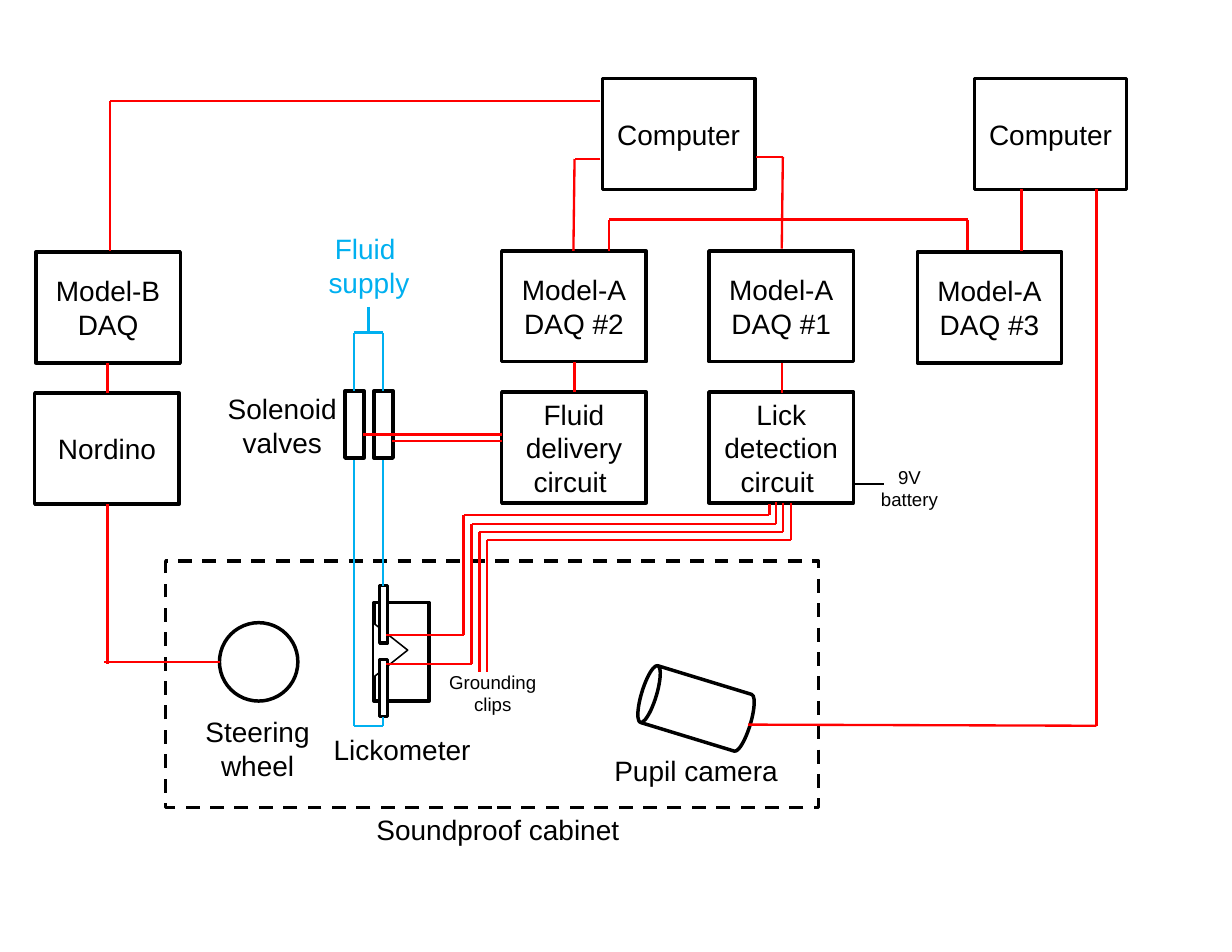
from itertools import pairwise
from lxml import etree
from pptx import Presentation
from pptx.dml.color import RGBColor
from pptx.enum.dml import MSO_LINE as Dash
from pptx.enum.shapes import MSO_CONNECTOR as Link, MSO_SHAPE as Kind
from pptx.enum.text import MSO_ANCHOR as Anchor, MSO_AUTO_SIZE as Auto, PP_ALIGN as Align
from pptx.oxml.ns import qn
from pptx.util import Cm, Pt

INCH = 2.54
BLACK, WHITE, RED, BLUE = "000000", "FFFFFF", "FF0000", "00B0F0"


def paint(form, color):
    """Set a fill, line or font format to a solid hex colour."""
    if hasattr(form, "solid"):
        form.solid()
        form.fore_color.rgb = RGBColor.from_string(color)
    else:
        form.color.rgb = RGBColor.from_string(color)


def write(frame, text, size=18, color=BLACK):
    """Fill a text frame with centred Arial lines."""
    frame.text = text
    for para in frame.paragraphs:
        para.alignment = Align.CENTER
        for run in para.runs:
            run.font.name = "Arial"
            run.font.size = Pt(size)
            paint(run.font, color)


deck = Presentation()
deck.slide_width, deck.slide_height = Cm(11 * INCH), Cm(8.5 * INCH)
slide = deck.slides.add_slide(deck.slide_layouts[6])
shapes = slide.shapes

# Outlined parts: kind, left, top, width, height, turn, line width, text
parts = [
    (Kind.RECTANGLE, 3.34, 5.38, 0.49, 0.88, 0, 2.25, ""),
    (Kind.ISOSCELES_TRIANGLE, 3.24, 5.65, 0.49, 0.31, 90, 1, ""),
    (Kind.OVAL, 1.96, 5.56, 0.7, 0.7, 0, 2.25, ""),
    (Kind.RECTANGLE, 1.48, 5.01, 5.83, 2.2, 0, 2.25, ""),
    (Kind.CAN, 5.95, 5.82, 0.53, 1.01, 287, 2.25, ""),
]
for top in (5.23, 5.89):
    parts.append((Kind.RECTANGLE, 3.39, top, 0.07, 0.51, 0, 2.25, ""))
for left in (3.08, 3.34):
    parts.append((Kind.RECTANGLE, left, 3.49, 0.17, 0.6, 0, 2.25, ""))
for left in (5.38, 8.7):
    parts.append((Kind.RECTANGLE, left, 0.7, 1.36, 0.99, 0, 2.25, "Computer"))
for left, top, text in [
    (0.32, 2.25, "Model-B\nDAQ"),
    (4.48, 2.24, "Model-A\nDAQ #2"),
    (6.33, 2.24, "Model-A\nDAQ #1"),
    (8.19, 2.25, "Model-A\nDAQ #3"),
    (0.31, 3.51, "Nordino"),
    (4.48, 3.5, "Fluid delivery circuit "),
    (6.33, 3.5, "Lick\ndetection circuit "),
]:
    parts.append((Kind.RECTANGLE, left, top, 1.29, 0.99, 0, 2.25, text))

for kind, left, top, width, height, turn, weight, text in parts:
    part = shapes.add_shape(kind, *(Cm(n * INCH) for n in (left, top, width, height)))
    part.shadow.inherit = False
    part.rotation = turn
    paint(part.line, BLACK)
    part.line.width = Pt(weight)
    if kind == Kind.CAN:
        part.fill.background()
    elif width > 5:  # the cabinet around the rig
        part.fill.background()
        part.line.dash_style = Dash.DASH
    else:
        paint(part.fill, WHITE)
    if text:
        part.text_frame.vertical_anchor = Anchor.MIDDLE
        write(part.text_frame, text)

# Labels: left, top, width, height, text, size, colour
labels = [
    (2.83, 2.02, 0.93, 0.71, "Fluid \nsupply", 18, BLUE),
    (1.93, 3.45, 1.18, 0.71, "Solenoid\nvalves", 18, BLACK),
    (1.73, 6.33, 1.14, 0.71, "Steering\nwheel", 18, BLACK),
    (2.87, 6.49, 1.44, 0.4, "Lickometer", 18, BLACK),
    (5.38, 6.68, 1.67, 0.4, "Pupil camera", 18, BLACK),
    (3.25, 7.21, 2.39, 0.4, "Soundproof cabinet", 18, BLACK),
    (7.76, 4.11, 0.72, 0.5, "9V\nbattery", 12, BLACK),
    (3.91, 5.94, 0.98, 0.5, "Grounding\nclips", 12, BLACK),
]
for *place, text, size, color in labels:
    label = shapes.add_textbox(*(Cm(n * INCH) for n in place))
    label.text_frame.word_wrap = False
    label.text_frame.auto_size = Auto.SHAPE_TO_FIT_TEXT
    write(label.text_frame, text, size, color)

# Each route is a chain of corner points
routes = [
    (BLUE, [(3.29, 2.74), (3.29, 2.97)]),
    (BLUE, [(3.16, 3.49), (3.16, 2.97), (3.42, 2.97), (3.42, 3.49)]),
    (BLUE, [(3.42, 4.11), (3.42, 5.23)]),
    (BLUE, [(3.16, 4.11), (3.16, 6.48), (3.42, 6.48), (3.42, 6.4)]),
    (RED, [(5.36, 0.9), (0.98, 0.9), (0.98, 2.24)]),
    (RED, [(0.96, 3.24), (0.96, 3.51)]),
    (RED, [(0.96, 4.5), (0.96, 5.93)]),
    (RED, [(0.93, 5.91), (1.96, 5.91)]),
    (RED, [(5.36, 1.42), (5.13, 1.42), (5.12, 2.24)]),
    (RED, [(6.75, 1.4), (6.99, 1.4), (6.98, 2.22)]),
    (RED, [(5.44, 2.24), (5.44, 1.96), (8.64, 1.96), (8.64, 2.23)]),
    (RED, [(9.12, 1.69), (9.12, 2.24)]),
    (RED, [(9.79, 1.69), (9.79, 6.48), (6.68, 6.47)]),
    (RED, [(5.13, 3.23), (5.13, 3.5)]),
    (RED, [(6.98, 3.24), (6.98, 3.51)]),
    (RED, [(4.48, 3.88), (3.24, 3.88)]),
    (RED, [(4.48, 3.94), (3.5, 3.94)]),
    (RED, [(6.87, 4.5), (6.87, 4.6), (4.14, 4.6), (4.14, 5.67), (3.45, 5.67)]),
    (RED, [(6.93, 4.48), (6.93, 4.68), (4.21, 4.68), (4.21, 5.93), (3.45, 5.93)]),
    (RED, [(6.99, 4.49), (6.99, 4.75), (4.28, 4.75), (4.28, 6)]),
    (RED, [(7.06, 4.49), (7.06, 4.82), (4.35, 4.82), (4.35, 6)]),
    (BLACK, [(7.62, 4.32), (7.89, 4.32)]),
]
for color, points in routes:
    for start, end in pairwise(points):
        wire = shapes.add_connector(Link.STRAIGHT, *(Cm(n * INCH) for n in start + end))
        paint(wire.line, color)
        wire.line.width = Pt(1.5)
        etree.SubElement(wire._element.spPr, qn("a:effectLst"))

deck.save("out.pptx")
